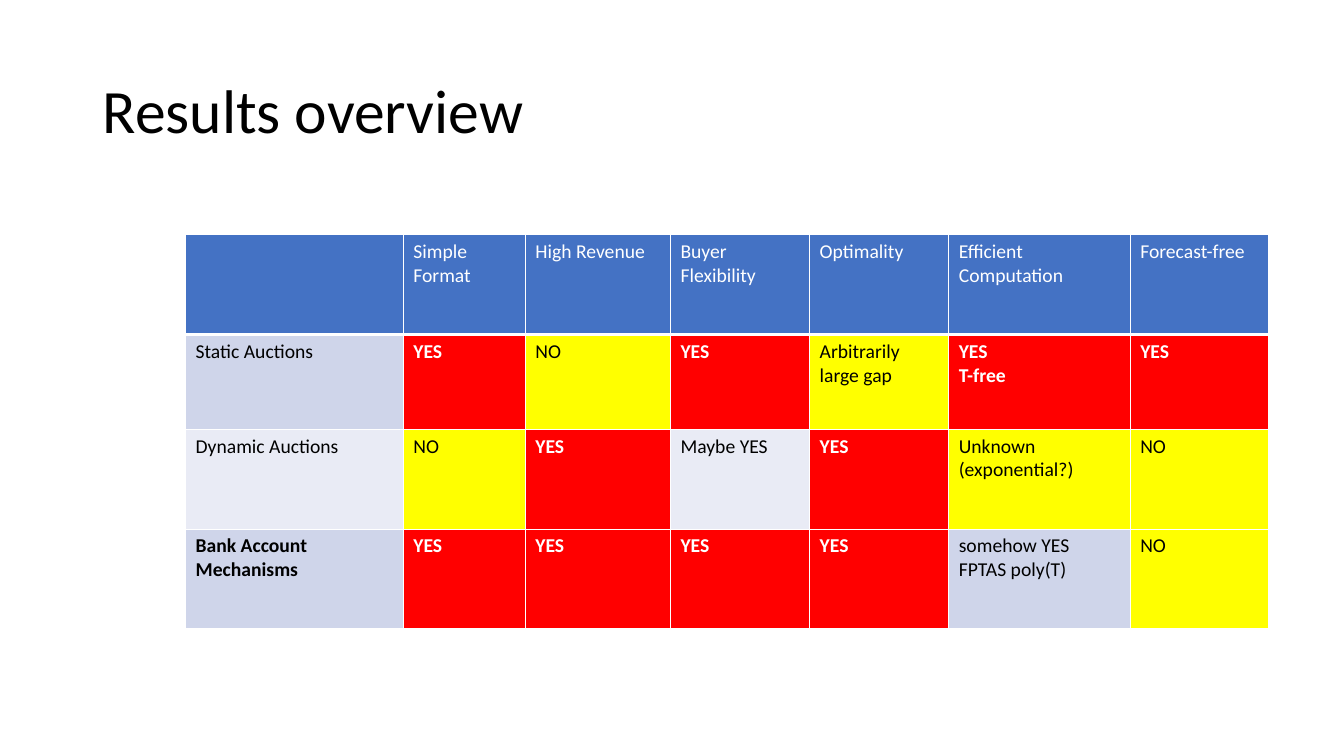
from lxml.etree import SubElement
from pptx import Presentation
from pptx.dml.color import RGBColor
from pptx.enum.text import MSO_ANCHOR
from pptx.oxml.ns import qn
from pptx.util import Inches, Pt

BLACK, WHITE = "000000", "FFFFFF"
HEADER_FILL, GOOD_FILL, BAD_FILL = "4472C4", "FF0000", "FFFF00"
BAND_FILLS = ["CFD5EA", "E9EBF5"]

COLUMN_WIDTHS = [2.16, 1.21, 1.44, 1.38, 1.38, 1.8, 1.37]
ROW_HEIGHTS = [0.99, 0.94, 0.99, 0.99]
CRITERIA = ["", "Simple Format", "High Revenue", "Buyer Flexibility",
            "Optimality", "Efficient Computation", "Forecast-free"]
# Each mechanism: name, whether the name is bold, and (verdict, text) per criterion
GOOD, BAD = ("good", "YES"), ("bad", "NO")
MECHANISMS = [
    ("Static Auctions", False,
     [GOOD, BAD, GOOD, ("bad", "Arbitrarily large gap"), ("good", "YES\nT-free"), GOOD]),
    ("Dynamic Auctions", False,
     [BAD, GOOD, ("mixed", "Maybe YES"), GOOD, ("bad", "Unknown (exponential?)"), BAD]),
    ("Bank Account Mechanisms", True,
     [GOOD, GOOD, GOOD, GOOD, ("mixed", "somehow YES\nFPTAS poly(T)"), BAD]),
]


def color(hex_string):
    return RGBColor.from_string(hex_string)


class SlideBuilder:
    font_name = "Calibri"
    title_size = 44
    cell_size = 14

    def __init__(self, slide):
        self.slide = slide

    def style(self, paragraph, size, font_color, bold=False):
        font = paragraph.font
        font.name, font.size, font.bold = self.font_name, Pt(size), bold
        font.color.rgb = color(font_color)

    def title(self, text, left, top, width, height):
        box = self.slide.shapes.add_textbox(
            Inches(left), Inches(top), Inches(width), Inches(height))
        frame = box.text_frame
        frame.word_wrap = True
        frame.vertical_anchor = MSO_ANCHOR.MIDDLE
        paragraph = frame.paragraphs[0]
        paragraph.text = text
        paragraph.line_spacing = 0.9
        self.style(paragraph, self.title_size, BLACK)

    def table(self, left, top, column_widths, row_heights):
        table = self.slide.shapes.add_table(
            len(row_heights), len(column_widths), Inches(left), Inches(top),
            Inches(sum(column_widths)), Inches(sum(row_heights))).table
        for column, width in zip(table.columns, column_widths):
            column.width = Inches(width)
        for row, height in zip(table.rows, row_heights):
            row.height = Inches(height)
        table.first_row = table.horz_banding = False
        return table

    def cell(self, cell, text, fill, font_color=BLACK, bold=False, bottom_border=1):
        cell.text = text
        for paragraph in cell.text_frame.paragraphs:
            self.style(paragraph, self.cell_size, font_color, bold)
        self.borders(cell, bottom_border)
        cell.fill.solid()
        cell.fill.fore_color.rgb = color(fill)

    def borders(self, cell, bottom_border):
        properties = cell._tc.get_or_add_tcPr()
        for side, width in (("L", 1), ("R", 1), ("T", 1), ("B", bottom_border)):
            line = SubElement(properties, qn(f"a:ln{side}"), w=str(Pt(width)))
            fill = SubElement(line, qn("a:solidFill"))
            SubElement(fill, qn("a:srgbClr"), val=WHITE)


def main():
    presentation = Presentation()
    presentation.slide_width = Inches(13.33)
    presentation.slide_height = Inches(7.5)
    builder = SlideBuilder(presentation.slides.add_slide(presentation.slide_layouts[6]))

    builder.title("Results overview", 0.92, 0.4, 11.5, 1.45)
    table = builder.table(1.84, 2.33, COLUMN_WIDTHS, ROW_HEIGHTS)
    for column, criterion in enumerate(CRITERIA):
        builder.cell(table.cell(0, column), criterion, HEADER_FILL, WHITE, bottom_border=3)
    for row, (name, bold, verdicts) in enumerate(MECHANISMS, start=1):
        band = BAND_FILLS[(row - 1) % 2]
        builder.cell(table.cell(row, 0), name, band, bold=bold)
        fills = {"good": GOOD_FILL, "bad": BAD_FILL, "mixed": band}
        for column, (verdict, text) in enumerate(verdicts, start=1):
            good = verdict == "good"
            builder.cell(table.cell(row, column), text, fills[verdict],
                         WHITE if good else BLACK, bold=good)

    presentation.save("out.pptx")


if __name__ == "__main__":
    main()
